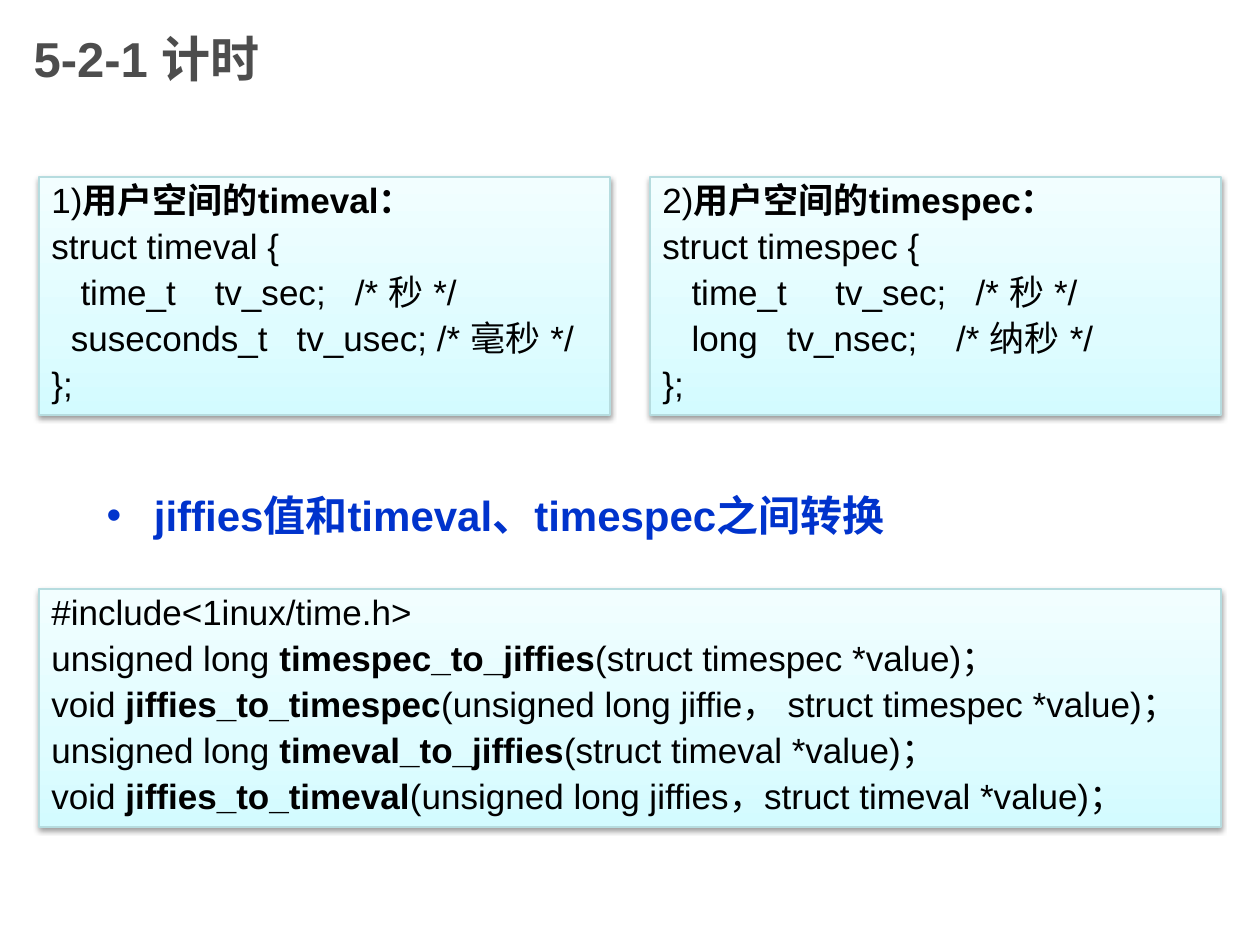
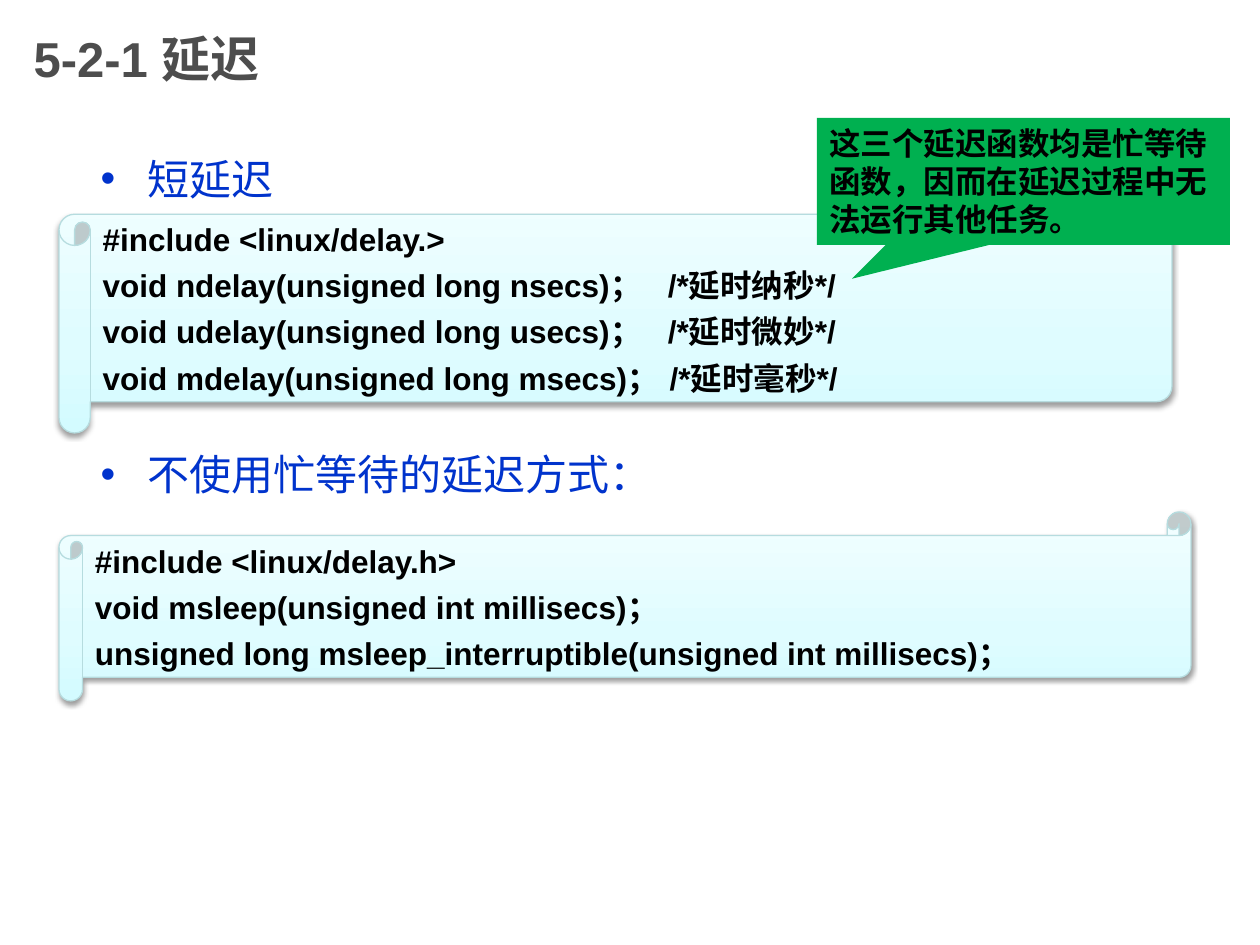
from copy import deepcopy

from pptx import Presentation
from pptx import util as u
from pptx.dml.color import RGBColor
from pptx.enum import shapes, text
from pptx.oxml import parse_xml
from pptx.oxml.ns import nsdecls, qn

SCALE = 914400 / 126
FONT = "Arial"
BLACK = RGBColor(0x00, 0x00, 0x00)
TITLE_GREY = RGBColor(0x4D, 0x4D, 0x4D)
LIST_BLUE = RGBColor(0x00, 0x33, 0xCC)
PANEL_EDGE = RGBColor(0xB6, 0xDC, 0xDF)
CALLOUT_GREEN = RGBColor(0x00, 0xB0, 0x50)
PANEL_STOPS = [
    (0, RGBColor(0xD3, 0xFB, 0xFF)),
    (0.35, RGBColor(0xDF, 0xFC, 0xFF)),
    (1, RGBColor(0xF2, 0xFE, 0xFF)),
]
TITLE_BOX = (21, 0, 945, 116)
RECT = shapes.MSO_SHAPE.RECTANGLE
SCROLL = shapes.MSO_SHAPE.HORIZONTAL_SCROLL


def px(length):
    return u.Emu(round(length * SCALE))


def place(part, box):
    part.left, part.top, part.width, part.height = map(px, box)


def add_run(paragraph, words, size, color, bold=False):
    run = paragraph.add_run()
    run.text = words
    font = run.font
    font.name, font.size, font.bold = FONT, u.Pt(size), bold
    font.color.rgb = color
    east_asian = parse_xml(f'<a:ea {nsdecls("a")} typeface="{FONT}"/>')
    font._element.find(qn("a:latin")).addnext(east_asian)


def write_lines(frame, lines, size, color, gap, spacing=None):
    frame.word_wrap = True
    frame.auto_size = text.MSO_AUTO_SIZE.NONE
    for index, line in enumerate(lines):
        paragraph = frame.add_paragraph() if index else frame.paragraphs[0]
        paragraph.alignment = text.PP_ALIGN.LEFT
        paragraph.space_before = u.Pt(gap if index else 0)
        if spacing:
            paragraph.line_spacing = spacing
        for words, bold in line:
            add_run(paragraph, words, size, color, bold)


def add_topic_slide(deck, title, topics, topics_box, bold=False, topic_gap=0):
    slide = deck.slides.add_slide(deck.slide_layouts[1])
    heading, body = slide.placeholders
    place(heading, TITLE_BOX)
    heading.text_frame.vertical_anchor = text.MSO_ANCHOR.MIDDLE
    write_lines(heading.text_frame, [[(title, True)]], 28, TITLE_GREY, 0)
    place(body, topics_box)
    topic_lines = [[(topic, bold)] for topic in topics]
    write_lines(body.text_frame, topic_lines, 24, LIST_BLUE, topic_gap)
    return slide


def fill_panel(panel):
    panel.fill.gradient()
    panel.fill.gradient_angle = 90
    first = panel.fill.gradient_stops[0]._gs
    first.addnext(deepcopy(first))
    for stop, (position, color) in zip(panel.fill.gradient_stops, PANEL_STOPS):
        stop.position = position
        stop.color.rgb = color
    panel.line.color.rgb = PANEL_EDGE
    panel.line.width = u.Pt(0.75)
    panel.shadow.inherit = False
    panel._element.spPr.find(qn("a:effectLst")).append(parse_xml(
        f'<a:outerShdw {nsdecls("a")} blurRad="{u.Pt(3.1)}" dist="{u.Pt(1.6)}" '
        'dir="5400000" rotWithShape="0"><a:srgbClr val="000000">'
        '<a:alpha val="38000"/></a:srgbClr></a:outerShdw>'))


def add_code_panel(slide, outline, box, lines, size, spacing=None):
    panel = slide.shapes.add_shape(outline, *map(px, box))
    fill_panel(panel)
    panel.text_frame.vertical_anchor = text.MSO_ANCHOR.TOP
    write_lines(panel.text_frame, lines, size, BLACK, 4.7, spacing)


def add_callout(slide, box, words):
    callout = slide.shapes.add_shape(
        shapes.MSO_SHAPE.RECTANGULAR_CALLOUT, *map(px, box))
    callout.adjustments[0], callout.adjustments[1] = -0.415, 0.766
    callout.fill.solid()
    callout.fill.fore_color.rgb = CALLOUT_GREEN
    callout.line.fill.background()
    callout.shadow.inherit = False
    callout.text_frame.vertical_anchor = text.MSO_ANCHOR.TOP
    write_lines(callout.text_frame, [[(words, True)]], 18, BLACK, 0)


def struct_lines(number, name, fields):
    heading = [(f"{number})", False), (f"用户空间的{name}：", True)]
    code = [f"struct {name} {{", *fields, "};"]
    return [heading] + [[(line, False)] for line in code]


def build_timing(deck):
    slide = add_topic_slide(deck, "5-2-1 计时", ["jiffies值和timeval、timespec之间转换"],
                            (94, 483, 1071, 69), bold=True)
    left, width, gap, height = 39, 571, 40, 238
    structs = [
        ("timeval", ["   time_t    tv_sec;   /* 秒 */",
                     "  suseconds_t   tv_usec; /* 毫秒 */"]),
        ("timespec", ["   time_t     tv_sec;   /* 秒 */",
                      "   long   tv_nsec;    /* 纳秒 */"]),
    ]
    for index, (name, fields) in enumerate(structs):
        box = (left + index * (width + gap), 177, width, height)
        add_code_panel(slide, RECT, box, struct_lines(index + 1, name, fields), 20, 0.9)
    conversions = [
        ("unsigned long ", "timespec_to_jiffies", "(struct timespec *value)；"),
        ("void ", "jiffies_to_timespec", "(unsigned long jiffie， struct timespec *value)；"),
        ("unsigned long ", "timeval_to_jiffies", "(struct timeval *value)；"),
        ("void ", "jiffies_to_timeval", "(unsigned long jiffies，struct timeval *value)；"),
    ]
    lines = [[("#include<1inux/time.h>", False)]]
    lines += [[(result, False), (function, True), (arguments, False)]
              for result, function, arguments in conversions]
    add_code_panel(slide, RECT, (left, 589, 2 * width + gap, height), lines, 20, 0.9)


def build_delay(deck):
    slide = add_topic_slide(deck, "5-2-1 延迟", ["短延迟", "不使用忙等待的延迟方式："],
                            (88, 147, 1071, 651), topic_gap=140)
    busy_waits = [
        "#include <linux/delay.>",
        "void ndelay(unsigned long nsecs)；   /*延时纳秒*/",
        "void udelay(unsigned long usecs)；   /*延时微妙*/",
        "void mdelay(unsigned long msecs)；\t/*延时毫秒*/",
    ]
    sleeps = [
        "#include <linux/delay.h>",
        "void msleep(unsigned int millisecs)；",
        "unsigned long msleep_interruptible(unsigned int millisecs)；",
    ]
    for box, code in [((59, 183, 1113, 250), busy_waits), ((59, 512, 1132, 189), sleeps)]:
        add_code_panel(slide, SCROLL, box, [[(line, True)] for line in code], 18)
    add_callout(slide, (817, 118, 413, 127),
                "这三个延迟函数均是忙等待函数，因而在延迟过程中无法运行其他任务。")


def main():
    deck = Presentation()
    deck.slide_width, deck.slide_height = px(1260), px(945)
    build_timing(deck)
    build_delay(deck)
    deck.save("out.pptx")


if __name__ == "__main__":
    main()
